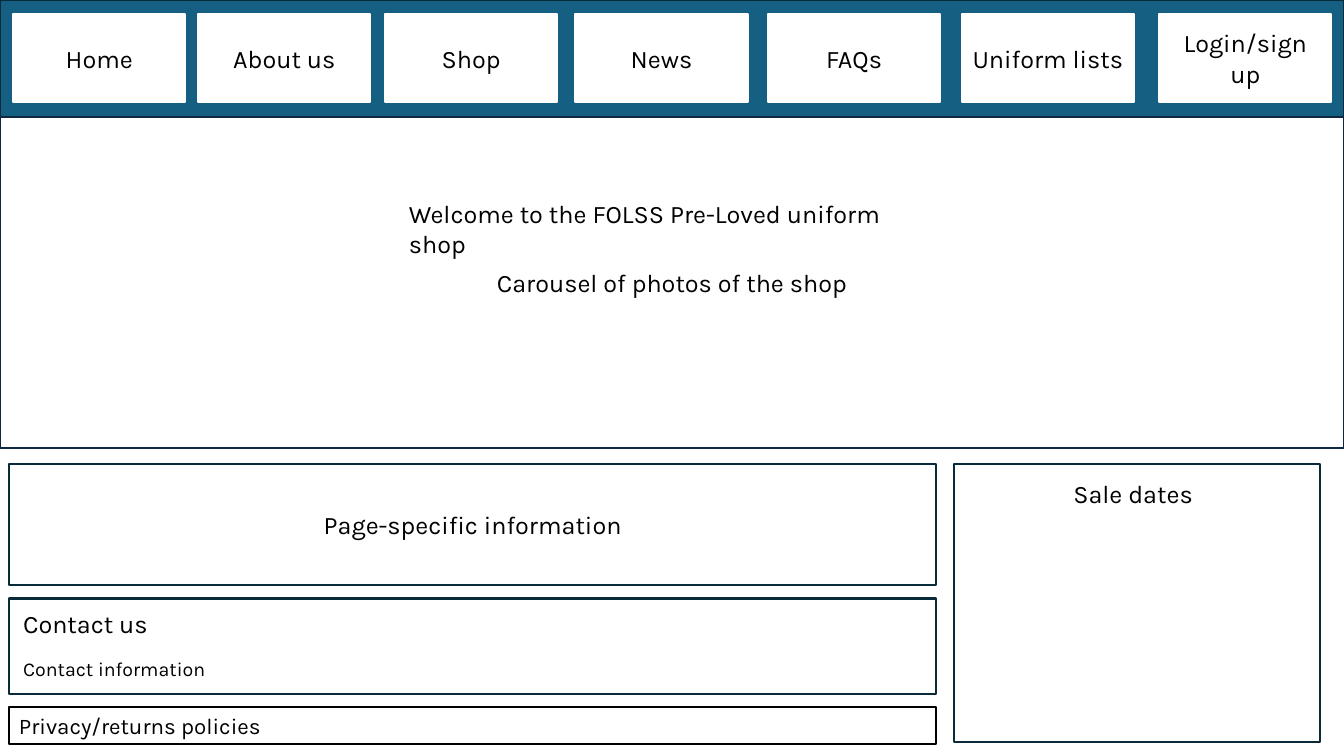
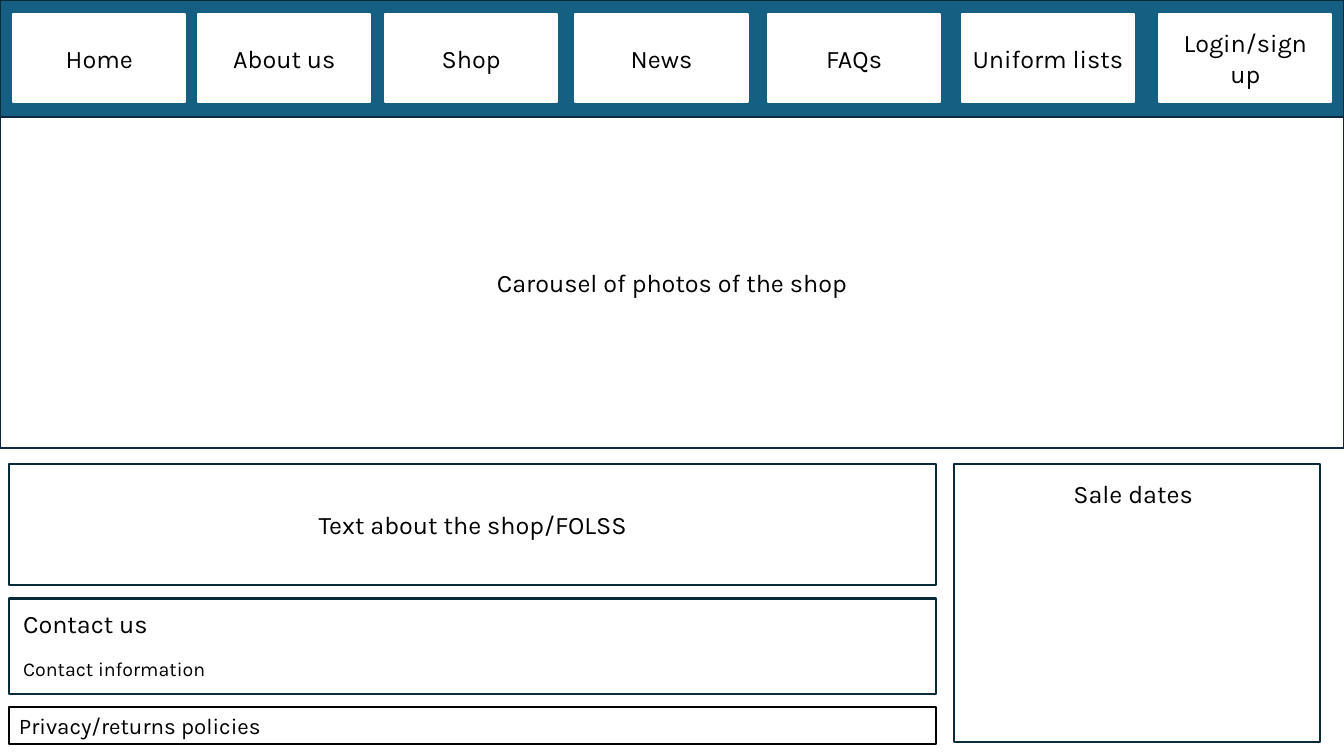
from pptx import Presentation
from pptx.dml.color import RGBColor as RGB
from pptx.enum.shapes import MSO_SHAPE as Shape
from pptx.enum.text import MSO_ANCHOR as Anchor, PP_ALIGN as Align
from pptx.util import Pt

COLORS = {
    "band": "156082",
    "edge": "092A39",
    "navy": "0E2841",
    "white": "FFFFFF",
    "black": "000000",
}
FONT = "Karla"
WIDTH, HEIGHT = 960, 540
BAND = 83.5
LEFT, MAIN = 6.5, 662.4  # left edge and width of the main column
ROW = 331.2  # top of the panels below the carousel

TABS = [
    ("Home", 9.4),
    ("About us", 141.6),
    ("Shop", 275),
    ("News", 411),
    ("FAQs", 548.6),
    ("Uniform lists", 687),
    ("Login/sign up", 828),
]
PAGES = [
    ("Page-specific information", "Welcome to the FOLSS Pre-Loved uniform shop"),
    ("Text about the shop/FOLSS", None),
]


def write(shape, lines, align=Align.LEFT, anchor=Anchor.TOP, gap=0):
    """Fill a shape with (text, size) lines, with a gap between them."""
    frame = shape.text_frame
    frame.word_wrap = True
    frame.vertical_anchor = anchor
    for i, (text, size) in enumerate(lines):
        para = frame.add_paragraph() if i else frame.paragraphs[0]
        para.alignment = align
        para.space_before = Pt(gap if i else 0)
        run = para.add_run()
        run.text = text
        run.font.name = FONT
        run.font.size = Pt(size)
        run.font.color.rgb = RGB.from_string(COLORS["black"])


def box(slide, x, y, w, h, fill="white", line="edge", text=None):
    """Draw an outlined rectangle, with its text in the middle."""
    rect = slide.shapes.add_shape(Shape.RECTANGLE, Pt(x), Pt(y), Pt(w), Pt(h))
    rect.shadow.inherit = False
    if fill:
        rect.fill.solid()
        rect.fill.fore_color.rgb = RGB.from_string(COLORS[fill])
    else:
        rect.fill.background()
    rect.line.color.rgb = RGB.from_string(COLORS[line])
    rect.line.width = Pt(1.5)
    if text:
        write(rect, [(text, 18)], Align.CENTER, Anchor.MIDDLE)
    return rect


deck = Presentation()
deck.slide_width, deck.slide_height = Pt(WIDTH), Pt(HEIGHT)

for about, welcome in PAGES:
    slide = deck.slides.add_slide(deck.slide_layouts[6])
    label = slide.shapes.add_textbox

    # Menu band
    box(slide, 0, 0, WIDTH, BAND, "band")
    for name, x in TABS:
        box(slide, x, 9.7, 123, 63.4, line="white", text=name)

    # Carousel
    box(slide, 0, BAND, WIDTH, 236.2, line="navy",
        text="Carousel of photos of the shop")
    if welcome:
        write(label(Pt(285), Pt(138.2), Pt(390), Pt(29)), [(welcome, 18)])

    # Sale dates
    box(slide, 681.2, ROW, 261.4, 198.7)
    write(label(Pt(759.6), Pt(338.4), Pt(199.4), Pt(29)), [("Sale dates", 18)])

    # Main column
    box(slide, LEFT, ROW, MAIN, 86.4, text=about)
    box(slide, LEFT, 427.5, MAIN, 68.4)
    write(label(Pt(9.4), Pt(431.3), Pt(576), Pt(59)),
          [("Contact us", 18), ("Contact information", 14)], gap=13)
    policy = box(slide, LEFT, 504.9, MAIN, 26.6, None, "black")
    write(policy, [("Privacy/returns policies", 16)])

deck.save("out.pptx")
